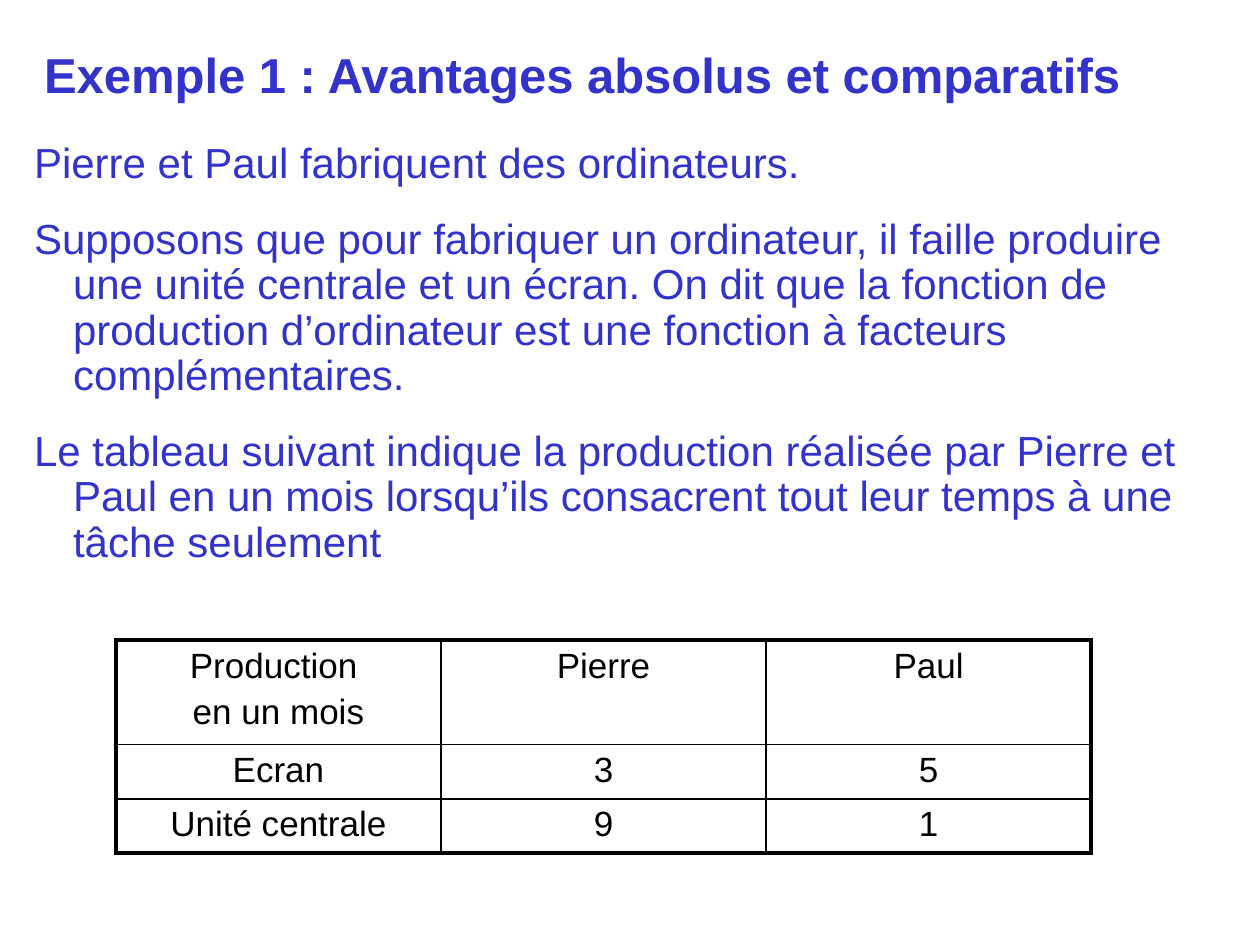
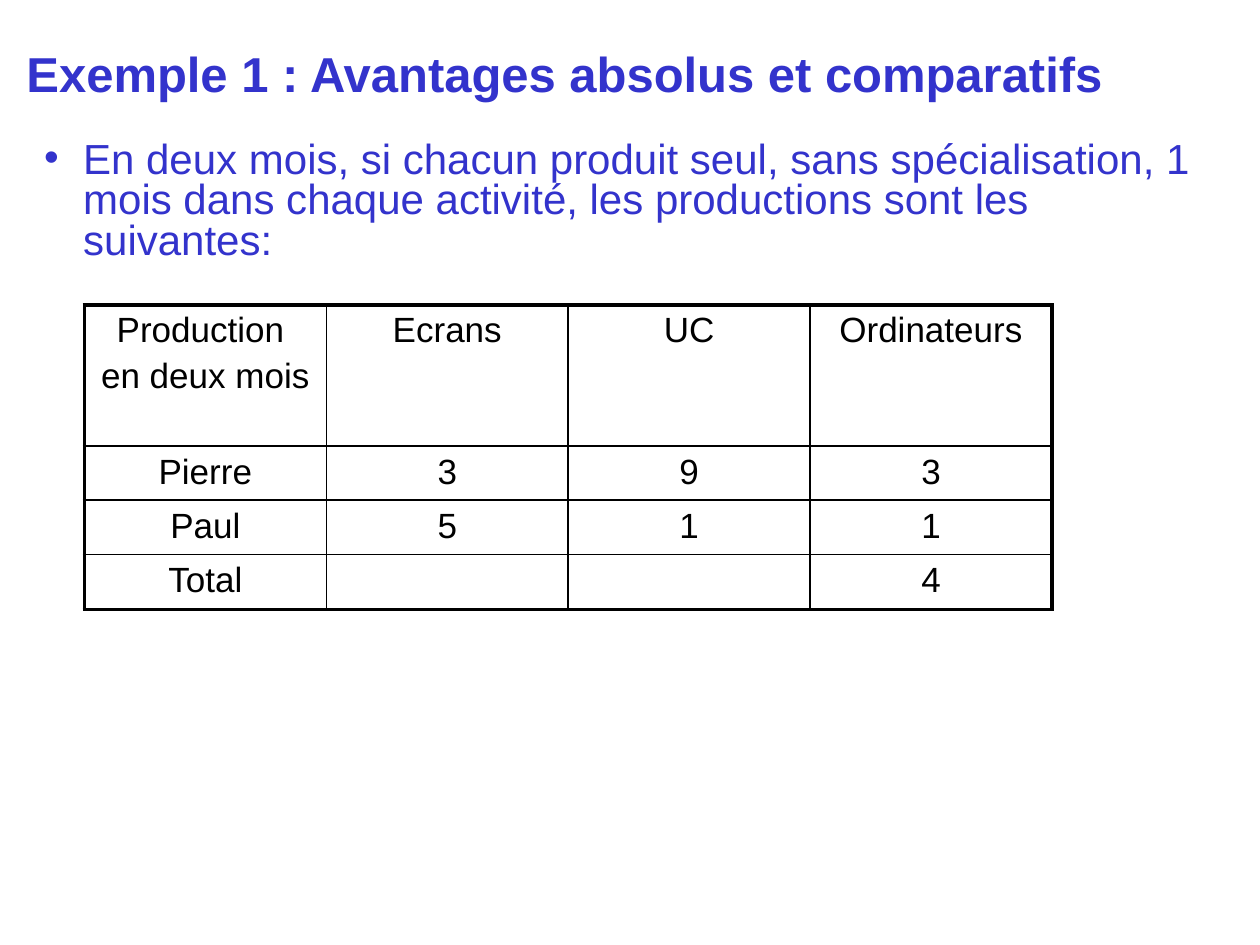
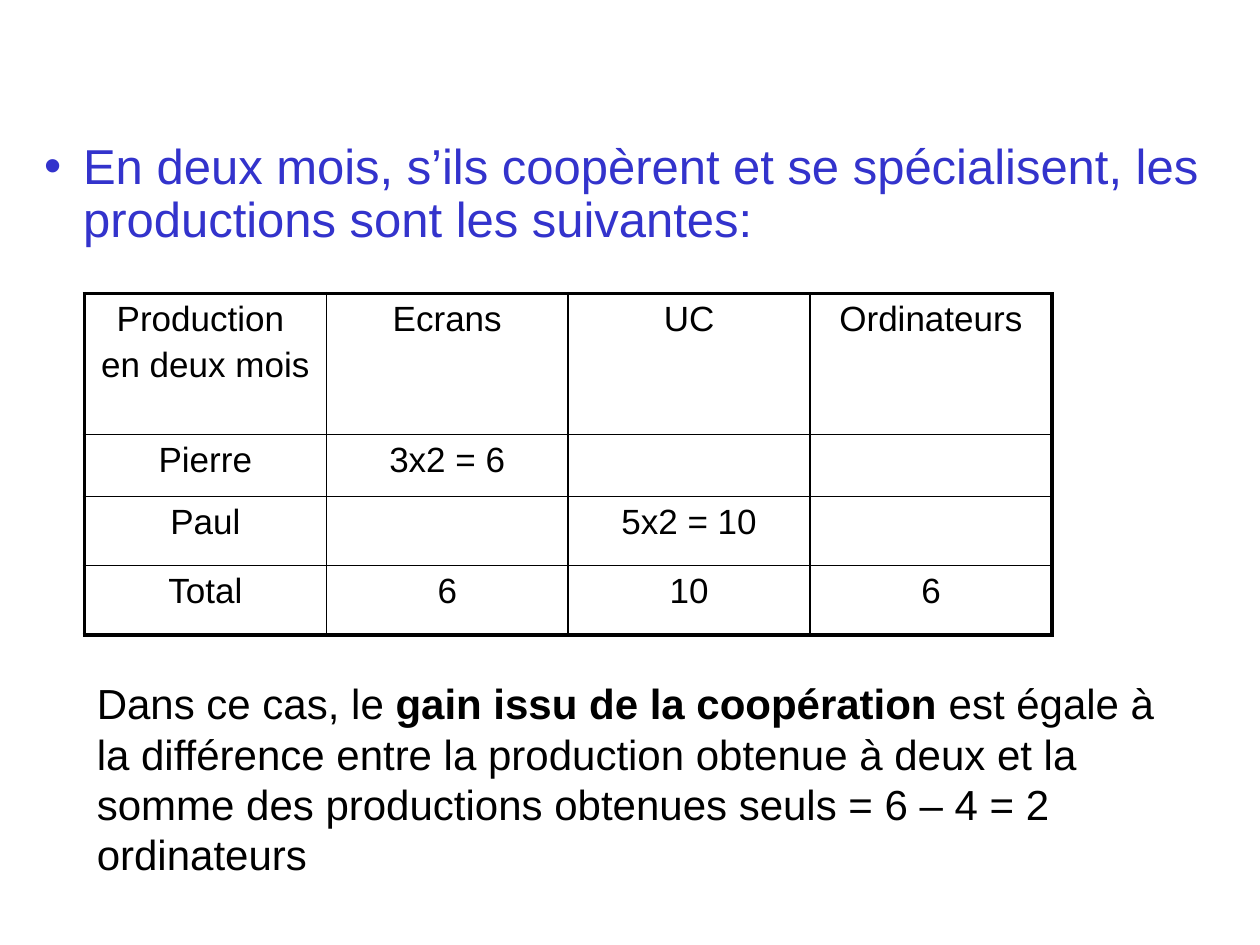
from lxml import etree
from pptx import Presentation
from pptx.dml.color import RGBColor
from pptx.enum.text import MSO_ANCHOR as Anchor, MSO_AUTO_SIZE as AutoSize, PP_ALIGN as Align
from pptx.oxml.ns import qn
from pptx.util import Inches, Pt

# Shared style
FONT = "Arial"
BLUE = "3333CC"
BLACK = "000000"
TITLE = "Exemple 1 : Avantages absolus et comparatifs"
OUTER_BORDER, INNER_BORDER = 2.25, 1
HANGING = Inches(0.31)


def color(value):
    return RGBColor.from_string(value)


def place(shape, left, top, width, height):
    shape.left, shape.top = Inches(left), Inches(top)
    shape.width, shape.height = Inches(width), Inches(height)


def add_run(paragraph, text, size, font_color=BLACK, bold=False):
    run = paragraph.add_run()
    run.text = text
    font = run.font
    font.name, font.size, font.bold = FONT, Pt(size), bold
    font.color.rgb = color(font_color)


def write_paragraphs(frame, texts):
    """Yield one paragraph of the frame for each text."""
    for index, text in enumerate(texts):
        yield (frame.add_paragraph() if index else frame.paragraphs[0]), text


def add_slide(presentation):
    return presentation.slides.add_slide(presentation.slide_layouts[1])


# Title
def set_title(slide, left, top):
    title = slide.shapes.title
    place(title, left, top, 9, 0.83)
    frame = title.text_frame
    frame.auto_size, frame.vertical_anchor = AutoSize.NONE, Anchor.MIDDLE
    paragraph = frame.paragraphs[0]
    paragraph.alignment = Align.LEFT
    add_run(paragraph, TITLE, 28, BLUE, bold=True)


# Body list with hanging indent
def set_bullet(paragraph, bullet):
    properties = paragraph._p.get_or_add_pPr()
    properties.set("marL", str(HANGING))
    properties.set("indent", str(-HANGING))
    if bullet:
        etree.SubElement(properties, qn("a:buFont"), typeface=FONT)
        etree.SubElement(properties, qn("a:buChar"), char=bullet)
    else:
        etree.SubElement(properties, qn("a:buNone"))


def set_body(slide, box, texts, size=24, line_spacing=0.9, space_before=4.8, bullet="•"):
    body = slide.placeholders[1]
    place(body, *box)
    frame = body.text_frame
    frame.auto_size, frame.vertical_anchor = AutoSize.NONE, Anchor.TOP
    for paragraph, text in write_paragraphs(frame, texts):
        paragraph.alignment = Align.LEFT
        paragraph.line_spacing = line_spacing
        paragraph.space_before = Pt(space_before)
        set_bullet(paragraph, bullet)
        add_run(paragraph, text, size, BLUE)


# Table with a heavy frame and thin inner lines
def set_borders(cell, on_edge):
    properties = cell._tc.get_or_add_tcPr()
    for side in "LRTB":
        width = Pt(OUTER_BORDER if on_edge[side] else INNER_BORDER)
        line = etree.SubElement(properties, qn(f"a:ln{side}"), w=str(width))
        fill = etree.SubElement(line, qn("a:solidFill"))
        etree.SubElement(fill, qn("a:srgbClr"), val=BLACK)


def add_table(slide, left, top, column_width, row_heights, rows):
    row_count, column_count = len(rows), len(rows[0])
    table = slide.shapes.add_table(
        row_count, column_count, Inches(left), Inches(top),
        Inches(column_width * column_count), Inches(sum(row_heights))).table
    table.first_row = table.horz_banding = False
    for column in table.columns:
        column.width = Inches(column_width)
    for row_index, (height, values) in enumerate(zip(row_heights, rows)):
        table.rows[row_index].height = Inches(height)
        for column_index, value in enumerate(values):
            cell = table.cell(row_index, column_index)
            set_borders(cell, {
                "L": column_index == 0, "R": column_index == column_count - 1,
                "T": row_index == 0, "B": row_index == row_count - 1})
            cell.fill.background()
            if not value:
                continue
            for paragraph, text in write_paragraphs(cell.text_frame, value.split("\n")):
                paragraph.alignment = Align.CENTER
                paragraph.space_before = Pt(4)
                add_run(paragraph, text, 20)


def add_two_month_table(slide, top, row_heights, rows):
    header = ["Production \nen deux mois", "Ecrans", "UC", "Ordinateurs"]
    add_table(slide, 0.67, top, 1.92, row_heights, [header] + rows)


# Free text made of (text, bold) parts
def add_note(slide, box, parts):
    note = slide.shapes.add_textbox(*map(Inches, box))
    frame = note.text_frame
    frame.word_wrap = True
    for text, bold in parts:
        add_run(frame.paragraphs[0], text, 24, bold=bold)


# Slides
def add_monthly_production(presentation):
    slide = add_slide(presentation)
    set_title(slide, 0.25, 0.17)
    set_body(slide, (0.17, 1.08, 9.58, 3.58), [
        "Pierre et Paul fabriquent des ordinateurs.",
        "Supposons que pour fabriquer un ordinateur, il faille produire une unité "
        "centrale et un écran. On dit que la fonction de production d’ordinateur "
        "est une fonction à facteurs complémentaires.",
        "Le tableau suivant indique la production réalisée par Pierre et Paul en un "
        "mois lorsqu’ils consacrent tout leur temps à une tâche seulement",
    ], space_before=17.5, bullet=None)
    add_table(slide, 0.92, 5.08, 2.58, [0.83, 0.43, 0.43], [
        ["Production \nen un mois", "Pierre", "Paul"],
        ["Ecran", "3", "5"],
        ["Unité centrale", "9", "1"],
    ])


def add_production_alone(presentation):
    slide = add_slide(presentation)
    set_title(slide, 0.11, 0.16)
    set_body(slide, (0.25, 1.08, 9.58, 1), [
        "En deux mois, si chacun produit seul, sans spécialisation, 1 mois dans "
        "chaque activité, les productions sont les suivantes:",
    ], line_spacing=0.8)
    add_two_month_table(slide, 2.42, [1.12, 0.43, 0.43, 0.44], [
        ["Pierre", "3", "9", "3"],
        ["Paul", "5", "1", "1"],
        ["Total", "", "", "4"],
    ])


def add_production_together(presentation):
    slide = add_slide(presentation)
    title = slide.shapes.title.element
    title.getparent().remove(title)
    set_body(slide, (0.25, 1.08, 9.58, 1), [
        "En deux mois, s’ils coopèrent et se spécialisent, les productions sont "
        "les suivantes:",
    ], size=28)
    add_two_month_table(slide, 2.33, [1.12, 0.49, 0.55, 0.55], [
        ["Pierre", "3x2 = 6", "", ""],
        ["Paul", "", "5x2 = 10", ""],
        ["Total", "6", "10", "6"],
    ])
    add_note(slide, (0.67, 5.33, 8.83, 1.72), [
        ("Dans ce cas, le ", False),
        ("gain issu de la coopération", True),
        (" est égale à la différence entre la production obtenue à deux et la somme "
         "des productions obtenues seuls = 6 – 4 = 2 ordinateurs", False),
    ])


def main():
    presentation = Presentation()
    presentation.slide_width, presentation.slide_height = Inches(10), Inches(7.5)
    add_monthly_production(presentation)
    add_production_alone(presentation)
    add_production_together(presentation)
    presentation.save("out.pptx")


if __name__ == "__main__":
    main()
